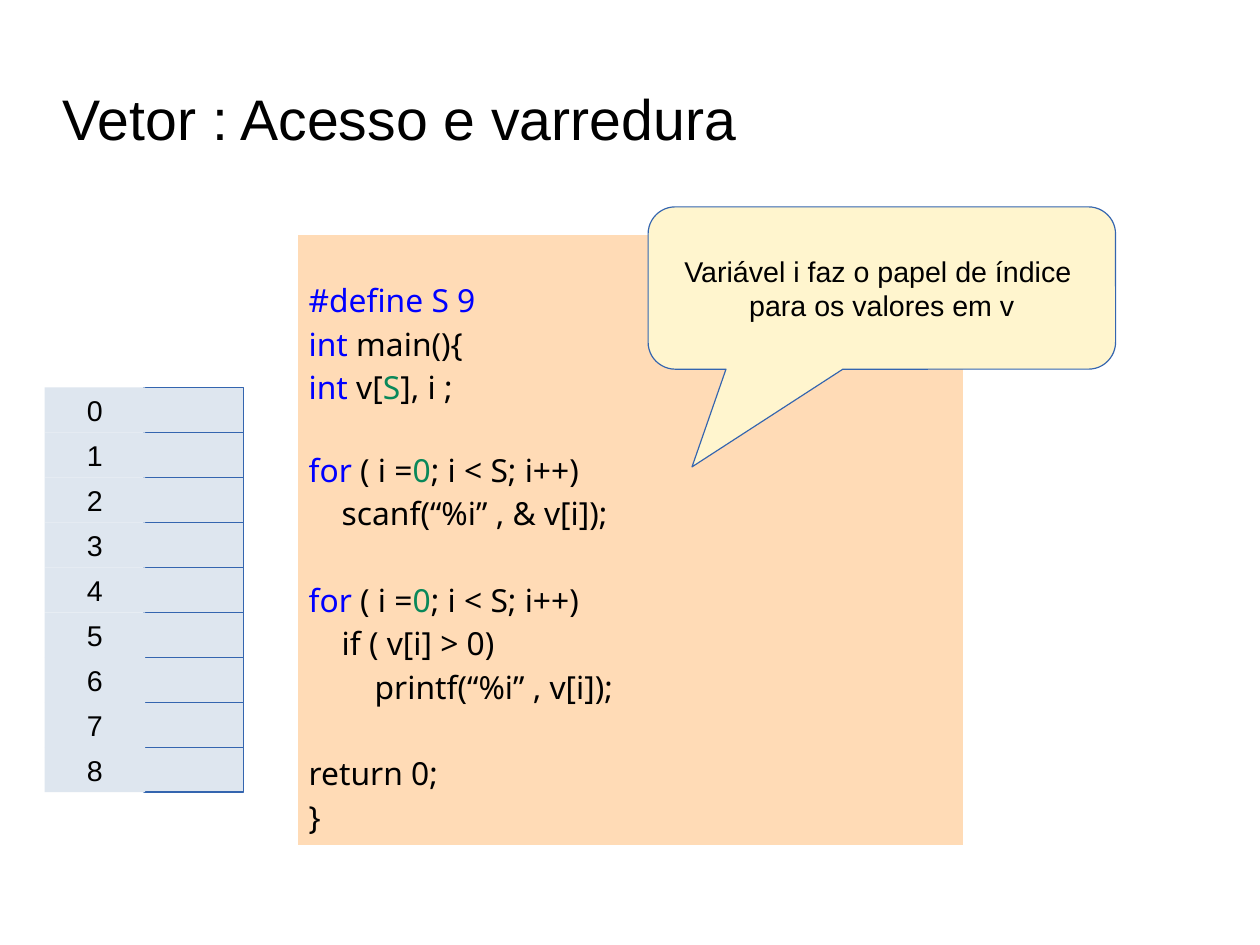
from lxml.etree import SubElement
from pptx import Presentation
from pptx.dml.color import RGBColor
from pptx.enum.shapes import MSO_SHAPE
from pptx.enum.text import MSO_ANCHOR, PP_ALIGN
from pptx.oxml.ns import qn
from pptx.util import Inches, Pt

CM_PER_INCH = 2.54
SLIDE_WIDTH, SLIDE_HEIGHT = 28 / CM_PER_INCH, 21 / CM_PER_INCH

COLORS = {
    "text": "000000",
    "keyword": "0000FF",
    "number": "09885A",
    "code_back": "FFDBB6",
    "callout": "FFF5CE",
    "cell": "DEE6EF",
    "line": "3465AF",
    "border": "FFFFFF",
}

TITLE = "Vetor : Acesso e varredura"
CALLOUT_LINES = ["Variável i faz o papel de índice ", "para os valores em v"]
VECTOR_SIZE = 9

FOR_LINE = [("for", "keyword"), (" ( i =", "text"), ("0", "number"),
            ("; i < S; i++)", "text")]
# Each line of code: space before in points, then its coloured runs
CODE = [
    (0, [("#define S 9", "keyword")]),
    (0, [("int", "keyword"), (" main(){", "text")]),
    (0, [("int", "keyword"), (" v[", "text"), ("S", "number"), ("], i ;", "text")]),
    (24.5, FOR_LINE),
    (0, [("    scanf(“%i” , & v[i]);", "text")]),
    (27.2, FOR_LINE),
    (0, [("    if ( v[i] > 0)", "text")]),
    (0, [("        printf(“%i” , v[i]);", "text")]),
    (27.2, [("return 0;", "text")]),
    (0, [("}", "text")]),
]

CELL_LEFT, CELL_TOP, CELL_WIDTH = 0.39, 3.39, 0.87
CELL_HEIGHT = 3.54 / VECTOR_SIZE
OVERLAP = 0.01  # index cells cover the left edge of the value cells


def rgb(name):
    return RGBColor.from_string(COLORS[name])


def write(frame, lines, size=18, font="Arial", align=PP_ALIGN.LEFT,
          anchor=MSO_ANCHOR.MIDDLE, wrap=False):
    """Fill a text frame with (space before, [(text, colour), ...]) lines."""
    frame.word_wrap = wrap
    frame.vertical_anchor = anchor
    for number, (gap, runs) in enumerate(lines):
        paragraph = frame.add_paragraph() if number else frame.paragraphs[0]
        paragraph.alignment = align
        paragraph.space_before = Pt(gap)
        for text, color in runs:
            run = paragraph.add_run()
            run.text = text
            run.font.size = Pt(size)
            run.font.name = font
            run.font.color.rgb = rgb(color)


def plain(texts):
    return [(0, [(text, "text")]) for text in texts]


def add_box(shapes, kind, left, top, width, height, fill, outlined=True):
    shape = shapes.add_shape(kind, Inches(left), Inches(top),
                             Inches(width), Inches(height))
    shape.shadow.inherit = False
    shape.fill.solid()
    shape.fill.fore_color.rgb = rgb(fill)
    if outlined:
        shape.line.color.rgb = rgb("line")
        shape.line.width = Pt(0)
    else:
        shape.line.fill.background()
    return shape


def add_title(slide):
    box = slide.shapes.add_textbox(Inches(0.55), Inches(0.63),
                                   Inches(7.87), Inches(0.79))
    frame = box.text_frame
    frame.margin_left = frame.margin_right = 0
    frame.margin_top = frame.margin_bottom = 0
    write(frame, plain([TITLE]), size=36, wrap=True)


def add_code(slide):
    table = slide.shapes.add_table(1, 1, Inches(2.6), Inches(2.05),
                                   Inches(5.83), Inches(5.34)).table
    table.first_row = table.horz_banding = False
    cell = table.cell(0, 0)
    properties = cell._tc.get_or_add_tcPr()
    for side in ("a:lnL", "a:lnR", "a:lnT", "a:lnB"):
        border = SubElement(properties, qn(side), w="762")
        fill = SubElement(border, qn("a:solidFill"))
        SubElement(fill, qn("a:srgbClr"), val=COLORS["border"])
    cell.fill.solid()
    cell.fill.fore_color.rgb = rgb("code_back")
    cell.margin_left = cell.margin_right = Inches(0.1)
    cell.margin_top, cell.margin_bottom = Inches(0.39), Inches(0.05)
    cell.vertical_anchor = MSO_ANCHOR.TOP
    write(cell.text_frame, CODE, size=20, font="Noto Sans",
          anchor=MSO_ANCHOR.TOP, wrap=True)


def add_callout(slide):
    callout = add_box(slide.shapes, MSO_SHAPE.ROUNDED_RECTANGULAR_CALLOUT,
                      5.67, 1.81, 4.09, 1.42, "callout")
    for number, value in enumerate((-0.406, 1.102, 0.167)):
        callout.adjustments[number] = value
    write(callout.text_frame, plain(CALLOUT_LINES), align=PP_ALIGN.CENTER)


def add_vector(slide):
    values = slide.shapes.add_group_shape()
    indexes = slide.shapes.add_group_shape()
    for index in range(VECTOR_SIZE):
        top = CELL_TOP + index * CELL_HEIGHT
        add_box(values.shapes, MSO_SHAPE.RECTANGLE, CELL_LEFT + CELL_WIDTH, top,
                CELL_WIDTH, CELL_HEIGHT, "cell")
        label = add_box(indexes.shapes, MSO_SHAPE.RECTANGLE, CELL_LEFT, top,
                        CELL_WIDTH + OVERLAP, CELL_HEIGHT, "cell", outlined=False)
        write(label.text_frame, plain([str(index)]), align=PP_ALIGN.CENTER)


def main():
    presentation = Presentation()
    presentation.slide_width = Inches(SLIDE_WIDTH)
    presentation.slide_height = Inches(SLIDE_HEIGHT)
    slide = presentation.slides.add_slide(presentation.slide_layouts[6])
    add_title(slide)
    add_code(slide)
    add_callout(slide)
    add_vector(slide)
    presentation.save("out.pptx")


if __name__ == "__main__":
    main()
